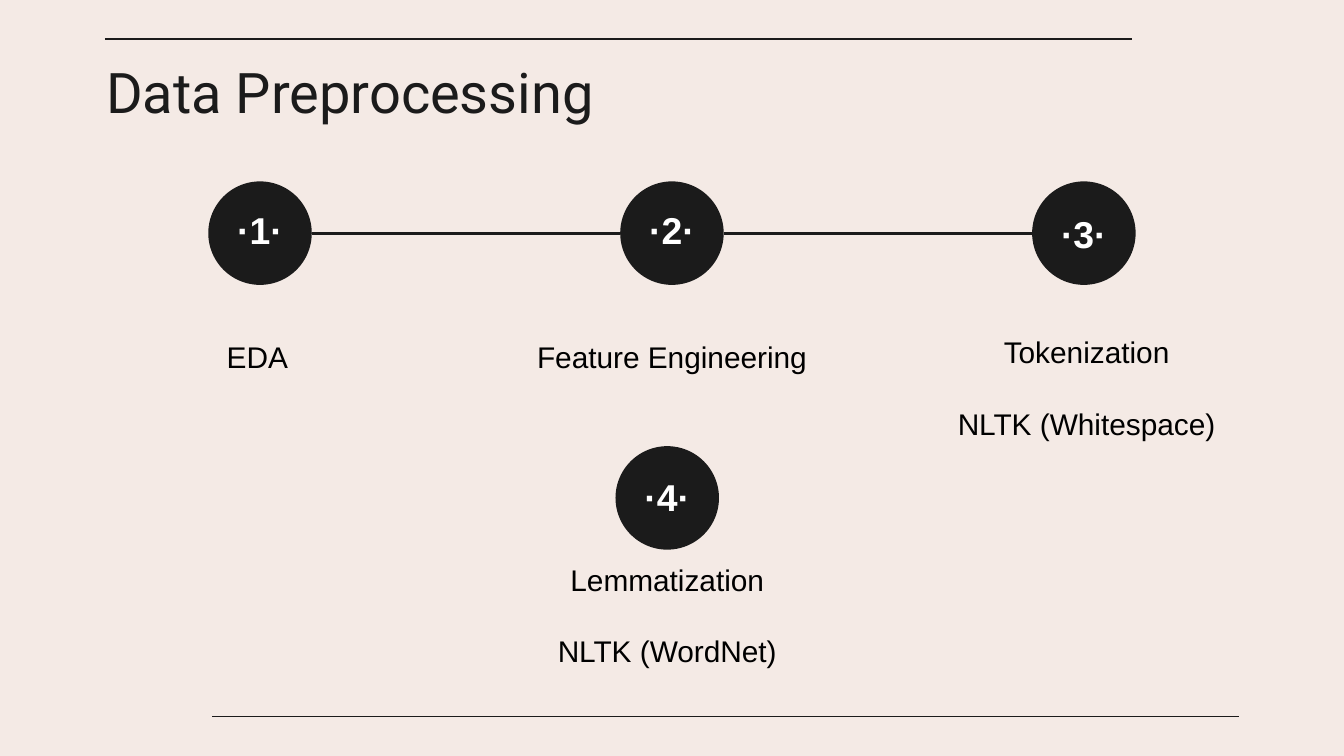
from lxml import etree
from pptx import Presentation
from pptx.dml.color import RGBColor
from pptx.enum import shapes, text
from pptx.oxml import ns
from pptx.util import Inches, Pt

COLORS = {"background": "F4EAE5", "ink": "1B1B1B", "caption": "000000", "number": "FFFFFF"}
CIRCLE = 0.77
NUMBER_WIDTH, NUMBER_HEIGHT = 0.7, 0.37
CAPTION_WIDTH, CAPTION_HEIGHT = 2.31, 0.73


def rgb(name):
    return RGBColor.from_string(COLORS[name])


def add_text(slide, box, lines, size, color, font="Arial", bold=False,
             align=text.PP_ALIGN.CENTER, anchor=text.MSO_ANCHOR.MIDDLE, gap=0):
    frame = slide.shapes.add_textbox(*map(Inches, box)).text_frame
    frame.word_wrap = True
    frame.vertical_anchor = anchor
    frame.margin_left = frame.margin_top = frame.margin_right = frame.margin_bottom = 0
    for index, line in enumerate(lines):
        paragraph = frame.paragraphs[0] if index == 0 else frame.add_paragraph()
        paragraph.alignment = align
        if index:
            paragraph.space_before = Pt(gap)
        run = paragraph.add_run()
        run.text = line
        run.font.name = font
        run.font.size = Pt(size)
        run.font.bold = bold
        run.font.color.rgb = rgb(color)


def add_line(slide, left, right, y, width):
    line = slide.shapes.add_connector(
        shapes.MSO_CONNECTOR.STRAIGHT, Inches(left), Inches(y), Inches(right), Inches(y))
    line.line.color.rgb = rgb("ink")
    line.line.width = Pt(width)
    etree.SubElement(line._element.spPr, ns.qn("a:effectLst"))


def add_header(slide, left, top, width):
    add_line(slide, left, left + width, top, 0.75)
    add_text(slide, (left + 0.01, top + 0.14, 8.43, 0.5), ["Data Preprocessing"], 30, "ink",
             font="Roboto", align=text.PP_ALIGN.LEFT, anchor=text.MSO_ANCHOR.TOP)


def add_step(slide, left, top, number, number_drop, caption, caption_shift, caption_drop):
    circle = slide.shapes.add_shape(
        shapes.MSO_SHAPE.OVAL, Inches(left), Inches(top), Inches(CIRCLE), Inches(CIRCLE))
    circle.shadow.inherit = False
    circle.fill.solid()
    circle.fill.fore_color.rgb = rgb("ink")
    circle.line.fill.background()

    number_left = left + (CIRCLE - NUMBER_WIDTH) / 2
    add_text(slide, (number_left, top + number_drop, NUMBER_WIDTH, NUMBER_HEIGHT),
             [f"·{number}·"], 20, "number", bold=True)
    caption_left = left + (CIRCLE - CAPTION_WIDTH) / 2 + caption_shift
    add_text(slide, (caption_left, top + caption_drop, CAPTION_WIDTH, CAPTION_HEIGHT),
             caption, 16, "caption", gap=19)


def add_timeline(slide, left, top, width):
    steps = [
        (0.17, ["EDA"], -0.02, 0.94),
        (0.17, ["Feature Engineering"], 0, 0.94),
        (0.2, ["Tokenization", "NLTK (Whitespace)"], 0.02, 1.17),
    ]
    pitch = (width - CIRCLE) / (len(steps) - 1)
    for index, (number_drop, caption, shift, drop) in enumerate(steps):
        step_left = left + index * pitch
        add_step(slide, step_left, top, index + 1, number_drop, caption, shift, drop)
        if index:
            add_line(slide, step_left - pitch + CIRCLE, step_left, top + CIRCLE / 2, 1.5)


def main():
    deck = Presentation()
    deck.slide_width = Inches(10)
    deck.slide_height = deck.slide_width * 9 // 16
    slide = deck.slides.add_slide(deck.slide_layouts[6])
    slide.background.fill.solid()
    slide.background.fill.fore_color.rgb = rgb("background")

    add_header(slide, 0.78, 0.29, 7.64)
    add_timeline(slide, 1.55, 1.35, 6.9)
    add_step(slide, 4.58, 3.32, 4, 0.19, ["Lemmatization", "NLTK (WordNet)"], 0, 0.89)
    add_line(slide, 1.58, 9.22, 5.33, 0.75)
    deck.save("out.pptx")


if __name__ == "__main__":
    main()
